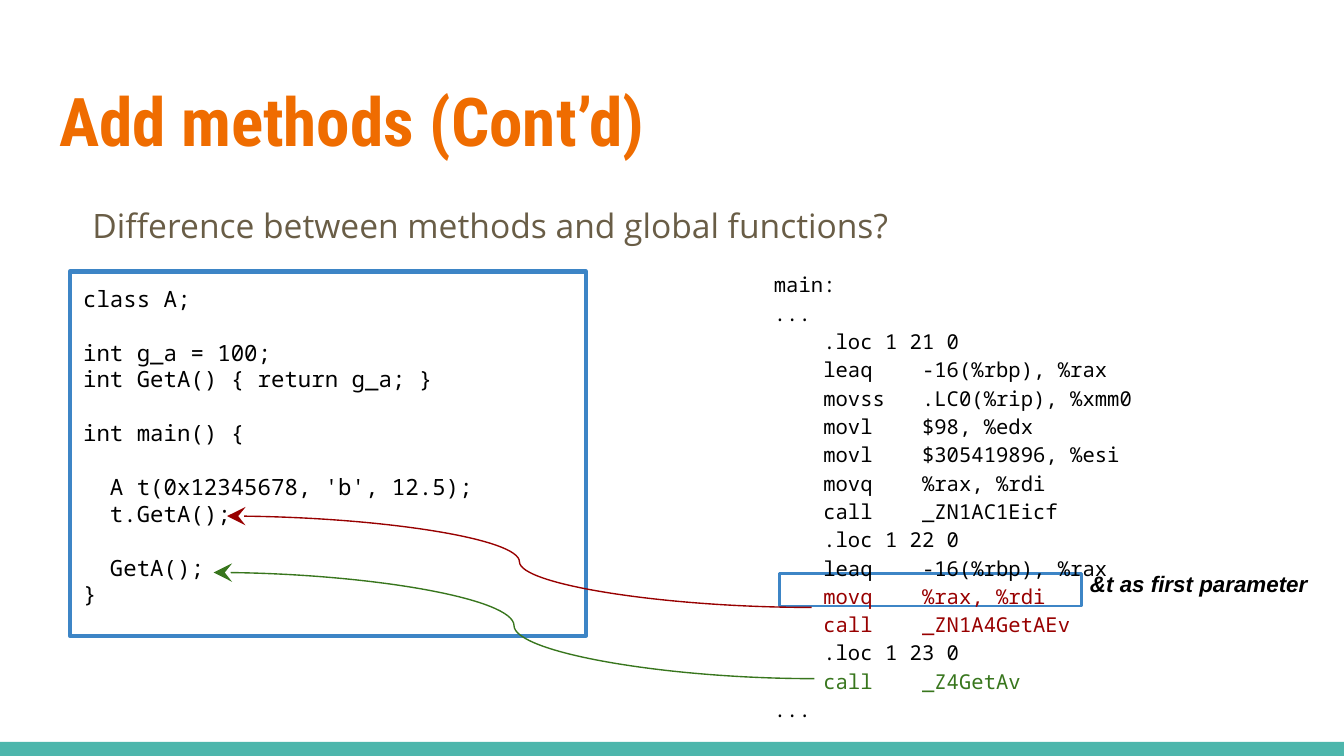
from typing import NamedTuple

from lxml.etree import SubElement
from pptx import Presentation
from pptx.dml.color import RGBColor
from pptx.enum.shapes import MSO_CONNECTOR, MSO_SHAPE
from pptx.enum.text import MSO_ANCHOR, MSO_AUTO_SIZE, PP_ALIGN
from pptx.oxml.ns import qn
from pptx.util import Inches, Pt

BLACK = RGBColor(0x00, 0x00, 0x00)
WHITE = RGBColor(0xFF, 0xFF, 0xFF)
ORANGE = RGBColor(0xEF, 0x6C, 0x00)
BROWN = RGBColor(0x69, 0x5D, 0x46)
TEAL = RGBColor(0x4D, 0xB6, 0xAC)
BLUE = RGBColor(0x3D, 0x85, 0xC6)
RED = RGBColor(0x98, 0x00, 0x00)
GREEN = RGBColor(0x38, 0x76, 0x1D)

WIDTH = 10
HEIGHT = WIDTH * 9 / 16
MONO = "Noto Sans Mono"
CODE_LINE = 14.4  # height in points of one line of source code


class Box(NamedTuple):
    left: float
    top: float
    width: float
    height: float

    def inches(self):
        return [Inches(v) for v in self]


class Line(NamedTuple):
    text: str
    color: RGBColor = BLACK
    before: float = 0


class CallLink(NamedTuple):
    start: tuple[float, float]
    end: tuple[float, float]
    color: RGBColor


SOURCE = [
    Line("class A;"),
    Line("int g_a = 100;", before=CODE_LINE),
    Line("int GetA() { return g_a; }"),
    Line("int main() {", before=CODE_LINE),
    Line("  A t(0x12345678, 'b', 12.5);", before=CODE_LINE),
    Line("  t.GetA();"),
    Line("  GetA();", before=CODE_LINE),
    Line("}"),
]

ASSEMBLY = [
    Line("main:"),
    Line("..."),
    Line("    .loc 1 21 0"),
    Line("    leaq    -16(%rbp), %rax"),
    Line("    movss   .LC0(%rip), %xmm0"),
    Line("    movl    $98, %edx"),
    Line("    movl    $305419896, %esi"),
    Line("    movq    %rax, %rdi"),
    Line("    call    _ZN1AC1Eicf"),
    Line("    .loc 1 22 0"),
    Line("    leaq    -16(%rbp), %rax"),
    Line("    movq    %rax, %rdi", RED),
    Line("    call    _ZN1A4GetAEv", RED),
    Line("    .loc 1 23 0"),
    Line("    call    _Z4GetAv", GREEN),
    Line("..."),
]

LINKS = [
    CallLink((6.04, 4.52), (1.69, 3.84), RED),
    CallLink((6.06, 5.05), (1.59, 4.26), GREEN),
]


def write(sp, lines: list[Line], *, font: str, size: float, bold=False,
          italic=False, spacing=1.0, indent=0.0, inset=0.1) -> None:
    """Fill a shape with left-aligned, top-anchored paragraphs."""
    tf = sp.text_frame
    tf.word_wrap = True
    tf.auto_size = MSO_AUTO_SIZE.NONE
    tf.vertical_anchor = MSO_ANCHOR.TOP
    tf.margin_left = Inches(inset)
    tf.margin_top = tf.margin_right = tf.margin_bottom = Inches(0.1)
    for i, line in enumerate(lines):
        p = tf.add_paragraph() if i else tf.paragraphs[0]
        p.alignment = PP_ALIGN.LEFT
        p.line_spacing = spacing
        p.space_before = Pt(line.before)
        if indent:
            pPr = p._p.get_or_add_pPr()
            pPr.set("marL", "0")
            pPr.set("indent", str(Inches(indent)))
        r = p.add_run()
        r.text = line.text
        r.font.name = font
        r.font.size = Pt(size)
        r.font.bold = bold
        r.font.italic = italic
        r.font.color.rgb = line.color


def add_rect(slide, box: Box, fill: RGBColor | None = None,
             line: RGBColor | None = None, width: float = 1):
    sp = slide.shapes.add_shape(MSO_SHAPE.RECTANGLE, *box.inches())
    sp.shadow.inherit = False
    if fill is None:
        sp.fill.background()
    else:
        sp.fill.solid()
        sp.fill.fore_color.rgb = fill
    if line is None:
        sp.line.fill.background()
    else:
        sp.line.color.rgb = line
        sp.line.width = Pt(width)
    return sp


def add_text(slide, box: Box, lines: list[Line], **style) -> None:
    write(slide.shapes.add_textbox(*box.inches()), lines, **style)


def add_link(slide, link: CallLink) -> None:
    """Draw a curved arrow from a call instruction to its source line."""
    ends = [Inches(v) for v in (*link.start, *link.end)]
    c = slide.shapes.add_connector(MSO_CONNECTOR.CURVE, *ends)
    c.line.color.rgb = link.color
    c.line.width = Pt(0.75)
    SubElement(c.line._get_or_add_ln(), qn("a:tailEnd"),
               type="stealth", w="lg", len="lg")
    SubElement(c._element.spPr, qn("a:effectLst"))


def main() -> None:
    prs = Presentation()
    prs.slide_width, prs.slide_height = Inches(WIDTH), Inches(HEIGHT)
    slide = prs.slides.add_slide(prs.slide_layouts[5])

    add_rect(slide, Box(0, 5.52, WIDTH, HEIGHT - 5.52), fill=TEAL)
    add_rect(slide, Box(5.8, 4.27, 2.25, 0.24), WHITE, BLUE, 1.5)
    add_text(slide, Box(7.96, 4.14, 1.99, 0.51), [Line("&t as first parameter")],
             font="Arial", size=12, bold=True, italic=True, inset=0.15)

    title = slide.shapes.title
    title.left, title.top, title.width, title.height = Box(0.34, 0.49, 9.32, 0.77).inches()
    write(title, [Line("Add methods (Cont’d)", ORANGE)],
          font="Roboto Condensed", size=36, bold=True)

    add_text(slide, Box(0.34, 1.38, 8.9, 0.51),
             [Line("Difference between methods and global functions?", BROWN)],
             font="Open Sans", size=18, spacing=1.15, indent=0.25)
    add_text(slide, Box(5.02, 1.9, 4.23, 3.45), ASSEMBLY,
             font=MONO, size=11, spacing=1.15, indent=0.64)

    source_box = add_rect(slide, Box(0.52, 2.02, 3.84, 2.71), line=BLUE, width=2.25)
    write(source_box, SOURCE, font=MONO, size=12)

    for link in LINKS:
        add_link(slide, link)

    prs.save("out.pptx")


if __name__ == "__main__":
    main()
